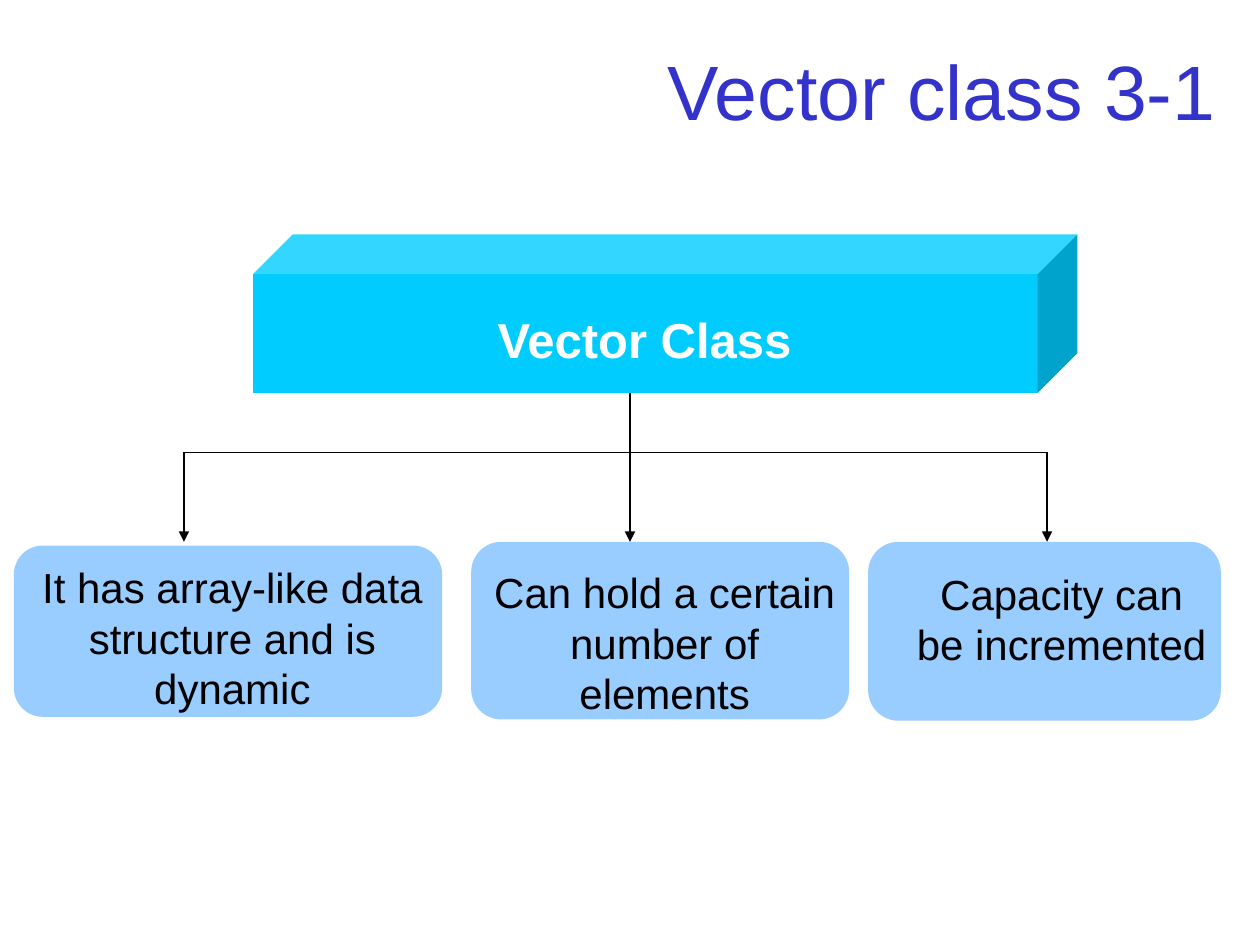
from lxml import etree
from pptx import Presentation
from pptx.dml.color import RGBColor
from pptx.enum.shapes import MSO_CONNECTOR, MSO_SHAPE
from pptx.enum.text import MSO_ANCHOR, PP_ALIGN
from pptx.oxml.ns import qn
from pptx.util import Inches, Pt

BLACK = RGBColor(0x00, 0x00, 0x00)
WHITE = RGBColor(0xFF, 0xFF, 0xFF)
TITLE_BLUE = RGBColor(0x33, 0x33, 0xCC)
CYAN = RGBColor(0x00, 0xCC, 0xFF)
PALE_BLUE = RGBColor(0x99, 0xCC, 0xFF)
CUBE, ROUNDED = MSO_SHAPE.CUBE, MSO_SHAPE.ROUNDED_RECTANGLE
STRAIGHT = MSO_CONNECTOR.STRAIGHT
CENTER, RIGHT = PP_ALIGN.CENTER, PP_ALIGN.RIGHT
TOP, MIDDLE = MSO_ANCHOR.TOP, MSO_ANCHOR.MIDDLE

prs = Presentation()
prs.slide_width, prs.slide_height = Inches(10), Inches(7.5)
s = prs.slides.add_slide(prs.slide_layouts[6])

# Blocks: preset, position and size, corner or depth ratio, fill
blocks = [
    (CUBE, (2.01, 1.86, 6.54, 1.26), 0.25, CYAN),
    (ROUNDED, (0.11, 4.33, 3.4, 1.36), 0.17, PALE_BLUE),
    (ROUNDED, (3.74, 4.3, 3, 1.41), 0.17, PALE_BLUE),
    (ROUNDED, (6.89, 4.3, 2.8, 1.42), 0.17, PALE_BLUE),
]
for preset, box, ratio, fill in blocks:
    sp = s.shapes.add_shape(preset, *map(Inches, box))
    sp.adjustments[0] = ratio
    sp.shadow.inherit = False
    sp.fill.solid()
    sp.fill.fore_color.rgb = fill
    sp.line.fill.background()

# Texts: wording, position and size, alignment, anchor, font
body = {"size": Pt(24), "color": BLACK}
texts = [
    ("Vector class 3-1", (0.75, 0.28, 9, 0.87), RIGHT, MIDDLE,
     {"size": Pt(44), "color": TITLE_BLUE}),
    ("Vector Class", (2.4, 2.41, 5.43, 0.57), CENTER, TOP,
     {"size": Pt(28), "color": WHITE, "bold": True}),
    ("It has array-like data structure and is dynamic",
     (0.11, 4.41, 3.47, 1.3), CENTER, TOP, body),
    ("Can hold a certain number of elements",
     (3.74, 4.45, 3.07, 1.3), CENTER, TOP, body),
    ("Capacity can be incremented",
     (7.17, 4.46, 2.51, 0.9), CENTER, TOP, body),
]
for wording, box, align, anchor, font in texts:
    tf = s.shapes.add_textbox(*map(Inches, box)).text_frame
    tf.word_wrap = True
    tf.vertical_anchor = anchor
    p = tf.paragraphs[0]
    p.alignment = align
    r = p.add_run()
    r.text = wording
    r.font.name = "Arial"
    for name, value in font.items():
        if name == "color":
            r.font.color.rgb = value
        else:
            setattr(r.font, name, value)

# Tree lines: trunk, crossbar, then one arrow down to each block
branch_xs = (1.46, 5, 8.31)
trunk_y, bar_y, tip_y = 3.12, 3.59, 4.3
lines = [
    (5, trunk_y, 5, bar_y, False),
    (branch_xs[0], bar_y, branch_xs[-1], bar_y, False),
]
lines += [(x, bar_y, x, tip_y, True) for x in branch_xs]
for *ends, arrow in lines:
    c = s.shapes.add_connector(STRAIGHT, *map(Inches, ends))
    c.line.color.rgb = BLACK
    c.line.width = Pt(0.75)
    if arrow:
        etree.SubElement(c.line._get_or_add_ln(), qn("a:tailEnd"), type="triangle")
    etree.SubElement(c._element.spPr, qn("a:effectLst"))

prs.save("out.pptx")
